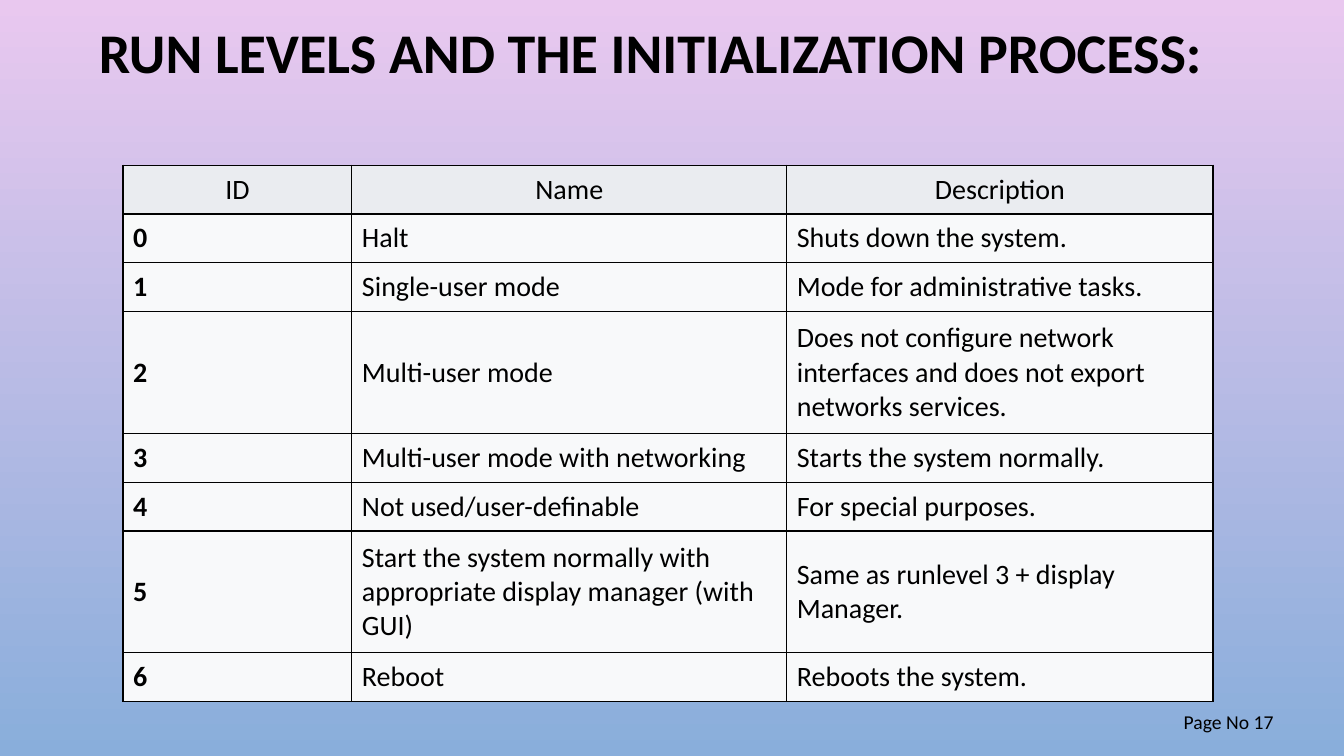
from lxml.etree import SubElement
from pptx import Presentation
from pptx.dml.color import RGBColor
from pptx.enum.text import MSO_ANCHOR, PP_ALIGN
from pptx.oxml.ns import qn
from pptx.util import Inches, Pt

HUES = {
    "top": "E9C8EF",
    "base": "89AEDB",
    "ink": "000000",
    "head": "EAECF0",
    "body": "F8F9FA",
}
HEADS = ["ID", "Name", "Description"]
LEVELS = [
    ("Halt", "Shuts down the system."),
    ("Single-user mode", "Mode for administrative tasks."),
    ("Multi-user mode", "Does not configure network interfaces and does not export networks services."),
    ("Multi-user mode with networking", "Starts the system normally."),
    ("Not used/user-definable", "For special purposes."),
    ("Start the system normally with appropriate display manager (with GUI)",
     "Same as runlevel 3 + display Manager."),
    ("Reboot", "Reboots the system."),
]
TALL = {3, 6}


class Page:
    font = "Calibri"
    edge = 1

    def __init__(self, deck):
        self.wide, self.high = deck.slide_width, deck.slide_height
        self.slide = deck.slides.add_slide(deck.slide_layouts[5])

    def across(self, share):
        return round(self.wide * share / 100)

    def down(self, share):
        return round(self.high * share / 100)

    def place(self, left, top, width, height):
        return self.across(left), self.down(top), self.across(width), self.down(height)

    def tint(self, name):
        return RGBColor.from_string(HUES[name])

    def back(self, *names):
        fill = self.slide.background.fill
        fill.gradient()
        fill.gradient_angle = 270
        for stop, name in zip(fill.gradient_stops, names):
            stop.color.rgb = self.tint(name)

    def words(self, frame, text, size, bold=False, align=PP_ALIGN.LEFT, space=1.0):
        frame.text = text
        para = frame.paragraphs[0]
        para.alignment, para.line_spacing = align, space
        look = {"name": self.font, "size": Pt(size), "bold": bold}
        for run in para.runs:
            for key, value in look.items():
                setattr(run.font, key, value)
            run.font.color.rgb = self.tint("ink")

    def title(self, text, spot, size):
        shape = self.slide.shapes.title
        for key, value in zip(("left", "top", "width", "height"), self.place(*spot)):
            setattr(shape, key, value)
        shape.text_frame.vertical_anchor = MSO_ANCHOR.MIDDLE
        self.words(shape.text_frame, text, size, True, PP_ALIGN.CENTER, 0.9)

    def label(self, text, spot, size):
        frame = self.slide.shapes.add_textbox(*self.place(*spot)).text_frame
        frame.word_wrap = True
        frame.vertical_anchor = MSO_ANCHOR.MIDDLE
        self.words(frame, text, size, align=PP_ALIGN.RIGHT)

    def border(self, cell):
        props = cell._tc.get_or_add_tcPr()
        for side in "LRTB":
            line = SubElement(props, qn(f"a:ln{side}"), w=str(Pt(self.edge)))
            fill = SubElement(line, qn("a:solidFill"))
            SubElement(fill, qn("a:srgbClr"), val=HUES["ink"])

    def table(self, rows, left, top, widths, heights, size):
        spot = self.place(left, top, sum(widths), sum(heights))
        grid = self.slide.shapes.add_table(len(rows), len(widths), *spot).table
        for col, width in zip(grid.columns, widths):
            col.width = self.across(width)
        for row, height in zip(grid.rows, heights):
            row.height = self.down(height)
        for r, row in enumerate(rows):
            for c, text in enumerate(row):
                cell = grid.cell(r, c)
                self.border(cell)
                cell.fill.solid()
                cell.fill.fore_color.rgb = self.tint("body" if r else "head")
                cell.vertical_anchor = MSO_ANCHOR.MIDDLE
                align = PP_ALIGN.LEFT if r else PP_ALIGN.CENTER
                self.words(cell.text_frame, text, size, r > 0 and c == 0, align)


def main():
    deck = Presentation()
    deck.slide_width, deck.slide_height = Inches(13.33), Inches(7.5)
    page = Page(deck)
    page.back("top", "base")
    page.title("RUN LEVELS AND THE INITIALIZATION PROCESS:", (3.9, 2.53, 88.97, 9.47), 40)
    rows = [HEADS] + [(str(n), *level) for n, level in enumerate(LEVELS)]
    heights = [16.13 if r in TALL else 6.45 for r in range(len(rows))]
    page.table(rows, 9.15, 21.87, [17.03, 32.36, 31.71], heights, 20)
    page.label("Page No 17", (85.07, 92.8, 10.43, 5.33), 14)
    deck.save("out.pptx")


if __name__ == "__main__":
    main()
